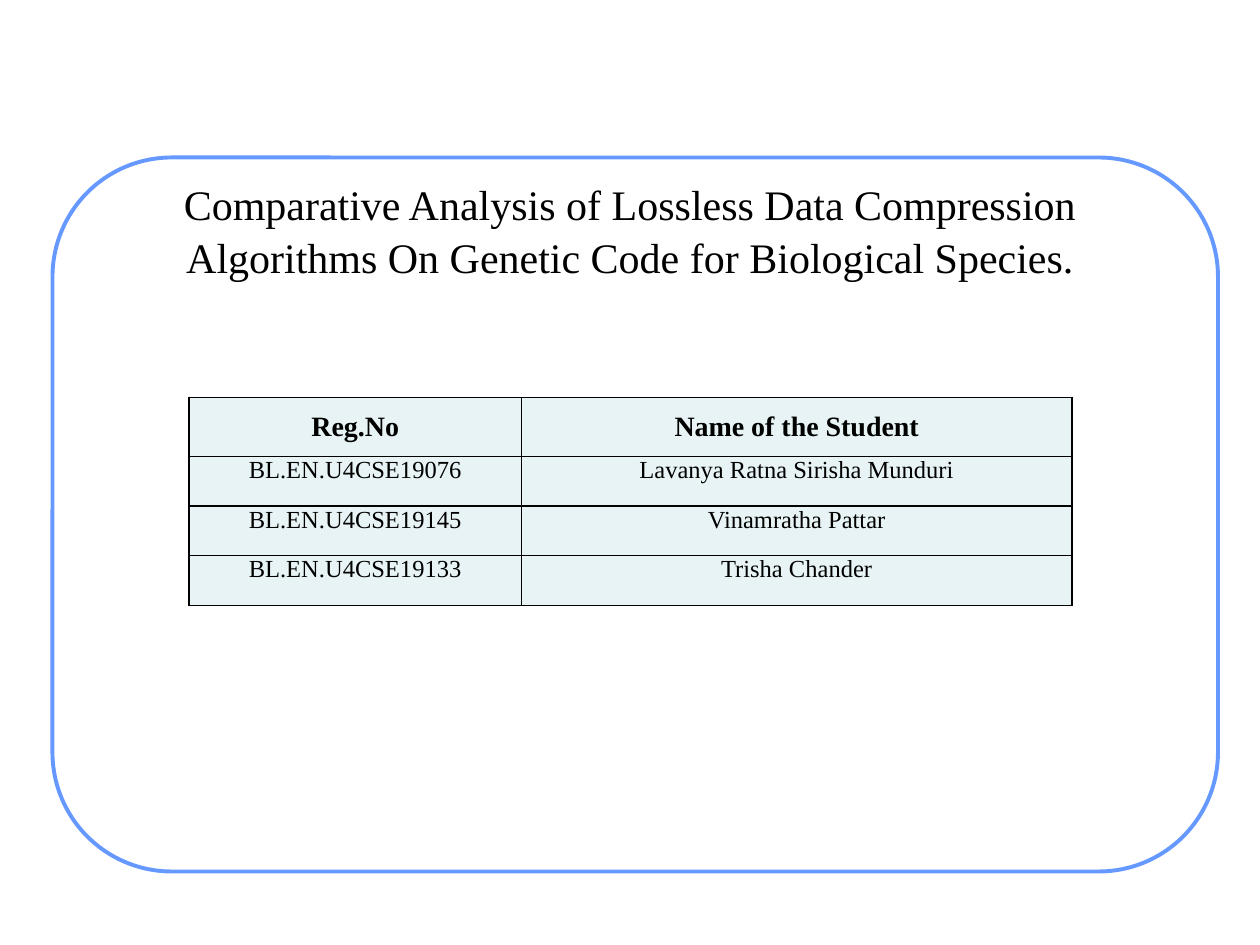
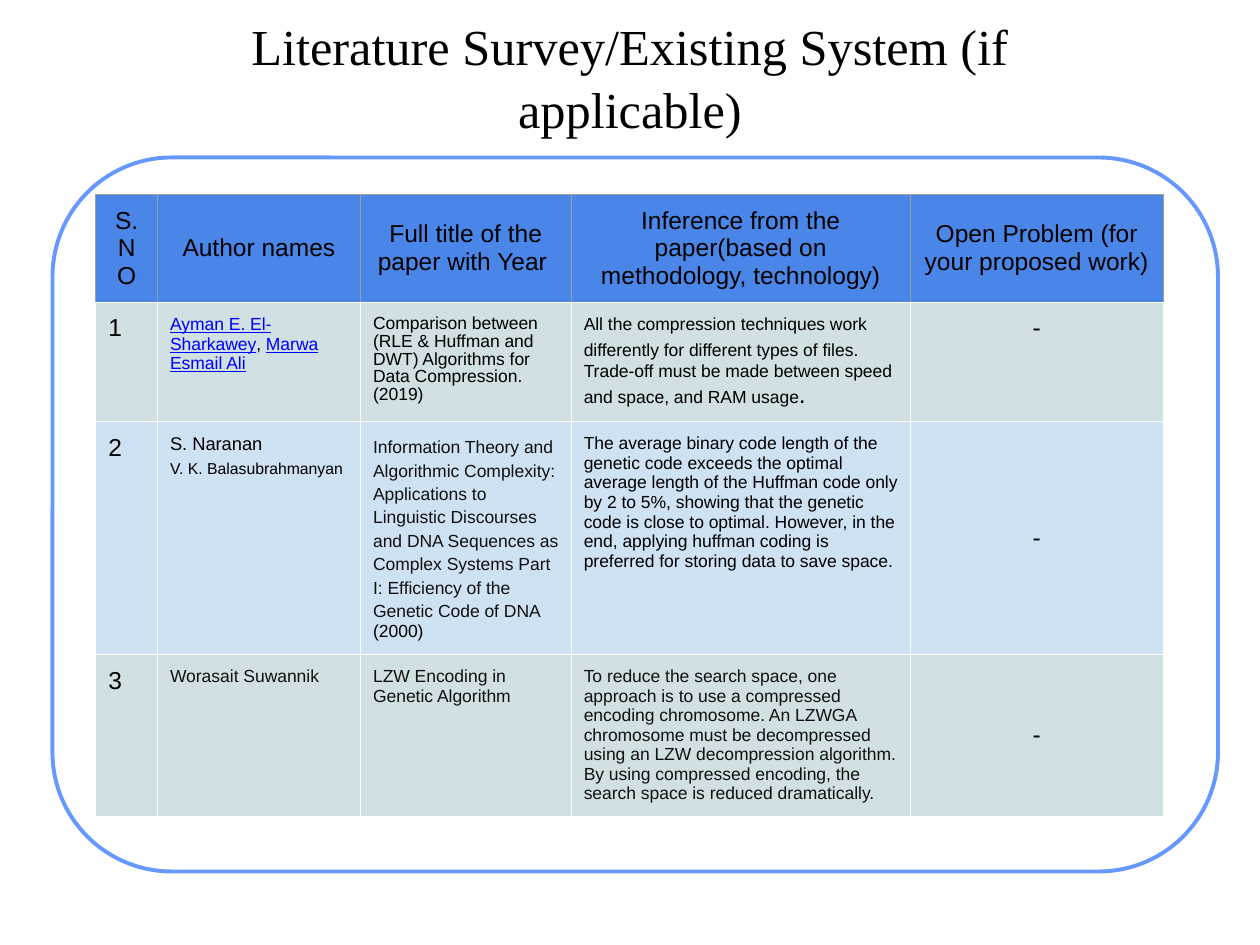
"""Build a project title slide and a literature survey slide."""
from lxml import etree
from pptx import Presentation
from pptx.dml.color import RGBColor
from pptx.enum import shapes, text
from pptx.oxml import ns
from pptx.util import Pt

COLOURS = {
    "white": "FFFFFF", "black": "000000", "ink": "111111", "frame": "6699FF",
    "student": "E7F3F4", "header": "4A86E8", "grey": "9E9E9E",
    "odd": "D0E0E3", "even": "CFE2F3", "author": "0000FF",
}
SERIF, SANS = "Times New Roman", "Arial"


def add_span(para, words, font, size, colour="black", bold=False, underline=False):
    span = para.add_run()
    span.text = words
    span.font.name = font
    span.font.size = Pt(size)
    span.font.bold = bold
    span.font.underline = underline
    span.font.color.rgb = RGBColor.from_string(COLOURS[colour])


def style_cell(cell, fill, edges, width, margin, middle):
    cell.fill.solid()
    cell.fill.fore_color.rgb = RGBColor.from_string(COLOURS[fill])
    cell.margin_left = cell.margin_right = Pt(margin)
    cell.margin_top = cell.margin_bottom = Pt(margin)
    cell.vertical_anchor = text.MSO_ANCHOR.MIDDLE if middle else text.MSO_ANCHOR.TOP
    properties = cell._tc.get_or_add_tcPr()
    for place, (side, colour) in enumerate(zip("LRTB", edges)):
        line = etree.Element(ns.qn(f"a:ln{side}"), w=str(Pt(width)))
        solid = etree.SubElement(line, ns.qn("a:solidFill"))
        etree.SubElement(solid, ns.qn("a:srgbClr"), val=COLOURS[colour])
        properties.insert(place, line)


deck = Presentation()
deck.slide_width, deck.slide_height = Pt(720), Pt(540)
layout = deck.slide_layouts[5]

titles = [
    ("Comparative Analysis of Lossless Data Compression Algorithms On Genetic Code "
     "for Biological Species.", 24, (57, 95, 606, 72)),
    ("Literature Survey/Existing System (if applicable)", 28.8, (90, 11.5, 540, 63)),
]
pages = []
for words, size, place in titles:
    page = deck.slides.add_slide(layout)
    title = page.shapes.title
    title.left, title.top, title.width, title.height = map(Pt, place)
    frame = title.text_frame
    frame.auto_size = text.MSO_AUTO_SIZE.NONE
    frame.word_wrap = True
    frame.vertical_anchor = text.MSO_ANCHOR.MIDDLE
    frame.margin_left = frame.margin_right = Pt(3.6)
    frame.margin_top = frame.margin_bottom = Pt(3.6)
    para = frame.paragraphs[0]
    para.alignment = text.PP_ALIGN.CENTER
    para.line_spacing = 1.05
    add_span(para, words, SERIF, size)
    pages.append(page)
title_page, survey_page = pages

border = title_page.shapes.add_shape(
    shapes.MSO_SHAPE.ROUNDED_RECTANGLE, Pt(30), Pt(90), Pt(666), Pt(408))
border.adjustments[0] = 0.167
border.shadow.inherit = False
border.fill.solid()
border.fill.fore_color.rgb = RGBColor.from_string(COLOURS["white"])
border.line.color.rgb = RGBColor.from_string(COLOURS["frame"])
border.line.width = Pt(2.25)
layout.shapes.element.insert(2, border.element)

students = [
    ("Reg.No", "Name of the Student"),
    ("BL.EN.U4CSE19076", "Lavanya Ratna Sirisha Munduri"),
    ("BL.EN.U4CSE19145", "Vinamratha Pattar"),
    ("BL.EN.U4CSE19133", "Trisha Chander"),
]
student_table = title_page.shapes.add_table(
    4, 2, Pt(108), Pt(227), Pt(504.6), Pt(118.9)).table
student_table.horz_banding = False
for column, width in zip(student_table.columns, (190, 314.6)):
    column.width = Pt(width)
for row, student in enumerate(students):
    heading = row == 0
    student_table.rows[row].height = Pt(34 if heading else 28.3)
    for column, words in enumerate(student):
        cell = student_table.cell(row, column)
        style_cell(cell, "student", ["black"] * 4, 1, 0, heading)
        para = cell.text_frame.paragraphs[0]
        para.alignment = text.PP_ALIGN.CENTER
        add_span(para, words, SERIF, 16 if heading else 14, bold=heading)

headings = ["S.NO", "Author names", "Full title of the paper with Year ",
            "Inference from the paper(based on methodology, technology)",
            "Open Problem (for your proposed work)"]
# Each cell lists paragraphs as (line spacing, spans of words, size, colour).
papers = [
    [
        [(1, [("Ayman E. El-Sharkawey", 10, "author"), (", ", 10, "black"),
              ("Marwa Esmail Ali", 10, "author")])],
        [(0.92, [("Comparison between (RLE & Huffman and DWT) Algorithms for",
                  10, "black")]),
         (0.92, [("Data Compression. (2019)", 10, "black")])],
        [(1, [("All the compression techniques work differently for different types "
               "of files.", 10, "black"), (" ", 14, "black"),
              ("Trade-off must be made between speed and space, and RAM usage",
               10, "black"), (".", 14, "black")])],
    ],
    [
        [(1, [("S. Naranan", 10.5, "black")]),
         (1.3, [("V. K. Balasubrahmanyan", 9, "black")])],
        [(1.2, [("Information Theory and Algorithmic Complexity: Applications to "
                 "Linguistic Discourses and DNA Sequences as Complex Systems Part I: "
                 "Efficiency of the Genetic Code of DNA", 10, "ink")]),
         (1, [("(2000)", 10, "black")])],
        [(1, [("The average binary code length of the genetic code exceeds the optimal "
               "average length of the Huffman code only by 2 to 5%, showing that the "
               "genetic code is close to optimal. However, in the end, applying huffman "
               "coding is preferred for storing data to save space.", 10, "black")])],
    ],
    [
        [(1, [("Worasait Suwannik", 10, "ink")])],
        [(1, [("LZW Encoding in Genetic Algorithm", 10, "ink")])],
        [(1, [("To reduce the search space, one approach is to use a compressed encoding "
               "chromosome. An LZWGA chromosome must be decompressed using an LZW "
               "decompression algorithm. By using compressed encoding, the search space "
               "is reduced dramatically.", 10, "ink")])],
    ],
]
survey = [[[(1, [(words, 14, "black")])] for words in headings]]
for number, paper in enumerate(papers, 1):
    survey.append([[(1, [(str(number), 14, "black")])], *paper,
                   [(1, [("-", 14, "black")])]])

survey_table = survey_page.shapes.add_table(
    4, 5, Pt(54.7), Pt(111), Pt(610), Pt(353.5)).table
survey_table.horz_banding = False
for column, width in zip(survey_table.columns, (35.3, 116, 120.4, 193.8, 144.5)):
    column.width = Pt(width)
for row, height in enumerate((61, 68, 133, 91.5)):
    survey_table.rows[row].height = Pt(height)
    heading = row == 0
    fill = "header" if heading else "odd" if row % 2 else "even"
    edges = ["grey"] * 3 + ["white"] if heading else ["white"] * 4
    for column, paragraphs in enumerate(survey[row]):
        cell = survey_table.cell(row, column)
        last = column == len(headings) - 1
        style_cell(cell, fill, edges, 0.75, 7.2, heading or (last and row > 1))
        for index, (spacing, spans) in enumerate(paragraphs):
            frame = cell.text_frame
            para = frame.add_paragraph() if index else frame.paragraphs[0]
            para.line_spacing = spacing
            centred = heading or last
            para.alignment = text.PP_ALIGN.CENTER if centred else text.PP_ALIGN.LEFT
            for words, size, colour in spans:
                add_span(para, words, SANS, size, colour, underline=colour == "author")

deck.save("out.pptx")
